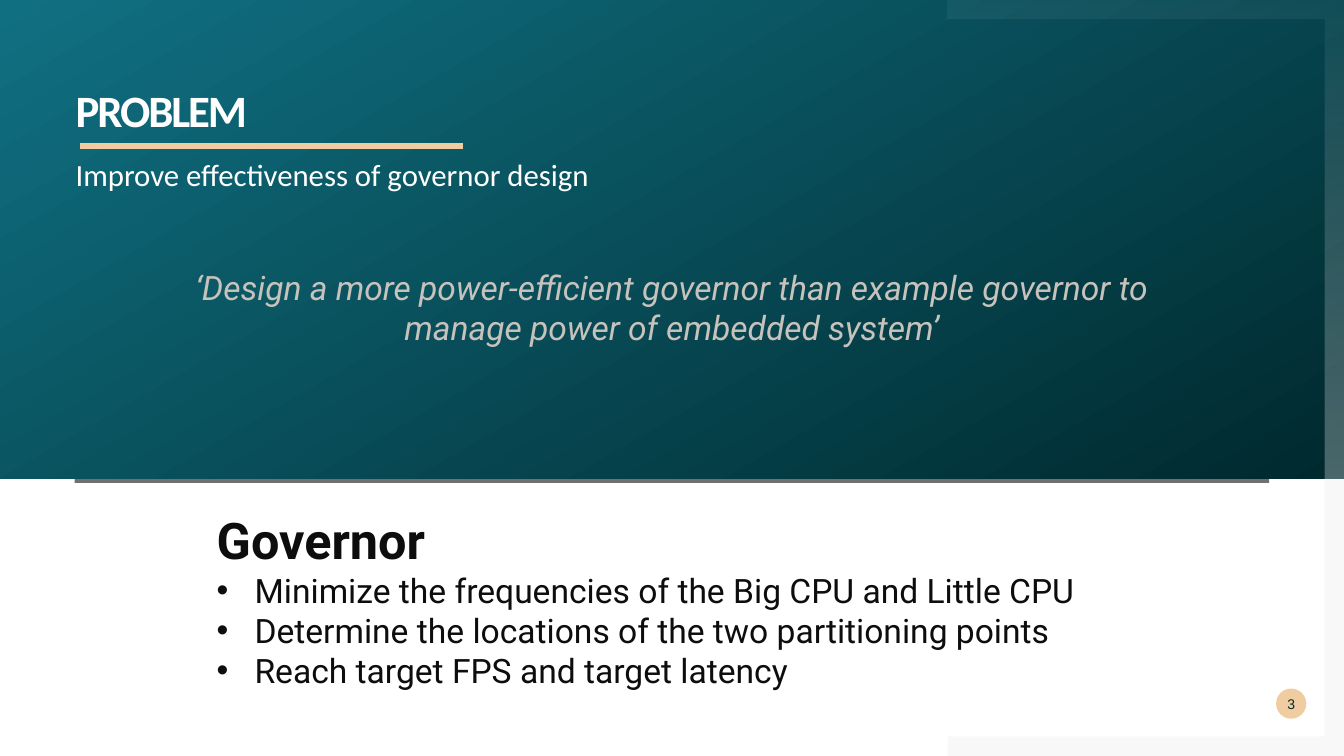
from lxml.etree import SubElement
from pptx import Presentation
from pptx.dml.color import RGBColor
from pptx.enum.shapes import MSO_CONNECTOR, MSO_SHAPE
from pptx.enum.text import MSO_ANCHOR, MSO_AUTO_SIZE, PP_ALIGN
from pptx.oxml.ns import qn
from pptx.util import Pt

COLORS = {name: RGBColor.from_string(code) for name, code in {
    "white": "FFFFFF", "black": "000000", "gray": "808080", "ink": "0D0D0D",
    "dark teal": "00292E", "teal": "107082", "sand": "F0CDA1", "stone": "C7C3BC",
}.items()}


def write(shape, text, font="Roboto", size=24, color="ink", bold=False, italic=False,
          align=PP_ALIGN.LEFT, anchor=MSO_ANCHOR.TOP, inset=(0, 0), after=0,
          line=1.0, tracking=0, bullet=False):
    """Fill the empty first paragraph of the shape, or add a paragraph below."""
    frame = shape.text_frame
    frame.word_wrap, frame.auto_size = True, MSO_AUTO_SIZE.NONE
    frame.vertical_anchor = anchor
    frame.margin_left = frame.margin_right = Pt(inset[0])
    frame.margin_top = frame.margin_bottom = Pt(inset[1])
    paragraph = frame.add_paragraph() if frame.text else frame.paragraphs[0]
    paragraph.alignment, paragraph.line_spacing = align, line
    paragraph.space_before, paragraph.space_after = Pt(0), Pt(after)
    props = paragraph._p.get_or_add_pPr()
    indent = Pt(27) if bullet else 0
    props.set("marL", str(indent))
    props.set("indent", str(-indent))
    if bullet:
        SubElement(props, qn("a:buFont"), typeface="Arial")
        SubElement(props, qn("a:buChar"), char="•")
    else:
        SubElement(props, qn("a:buNone"))
    run = paragraph.add_run()
    run.text = text
    run.font.name, run.font.size = font, Pt(size)
    run.font.bold, run.font.italic = bold, italic
    run.font.color.rgb = COLORS[color]
    if tracking:
        run._r.get_or_add_rPr().set("spc", str(int(tracking * 100)))


def paint(shape, *colors, angle=0, opacity=()):
    """Fill with one colour or a two-colour gradient, without outline or shadow."""
    shape.shadow.inherit = False
    shape.line.fill.background()
    if len(colors) == 1:
        shape.fill.solid()
        shape.fill.fore_color.rgb = COLORS[colors[0]]
    else:
        shape.fill.gradient()
        shape.fill.gradient_angle = angle
        for stop, color in zip(shape.fill.gradient_stops, colors):
            stop.color.rgb = COLORS[color]
    for code, percent in zip(shape._element.spPr.iter(qn("a:srgbClr")), opacity):
        SubElement(code, qn("a:alpha"), val=str(percent * 1000))


deck = Presentation()
deck.slide_width, deck.slide_height = Pt(960), Pt(540)
slide = deck.slides.add_slide(deck.slide_layouts[3])
shapes = slide.shapes
title, subtitle, governor = slide.placeholders

# Backdrop
divider = shapes.add_shape(MSO_SHAPE.RECTANGLE, Pt(53.3), Pt(341.3), Pt(853.2), Pt(3.6))
paint(divider, "black", opacity=[56])
banner = shapes.add_shape(MSO_SHAPE.RECTANGLE, 0, 0, Pt(960), Pt(342))
paint(banner, "dark teal", "teal", angle=120)

# Translucent frame along the right edge, split where the banner ends
frame_left, frame_inner, frame_right, banner_bottom = 677, 946, 960, 342
for edge, inner_edge, colors, opacity in (
    (0, 14, ["white", "white"], [5, 30]),
    (540, 526, ["gray"], [5]),
):
    outline = shapes.build_freeform(Pt(frame_left), Pt(edge))
    outline.add_line_segments([(Pt(x), Pt(y)) for x, y in (
        (frame_right, edge), (frame_right, banner_bottom), (frame_inner, banner_bottom),
        (frame_inner, inner_edge), (frame_left, inner_edge))])
    paint(outline.convert_to_shape(), *colors, angle=270, opacity=opacity)

# Heading
underline = shapes.add_connector(MSO_CONNECTOR.STRAIGHT, Pt(57), Pt(104.4), Pt(330.5), Pt(104.4))
underline.line.color.rgb = COLORS["sand"]
underline.line.width = Pt(4.32)
SubElement(underline._element.spPr, qn("a:effectLst"))

quote = shapes.add_textbox(0, 0, 0, 0)
for box, left, top, width, height in (
    (title, 54, 63.4, 595.4, 28.8),
    (subtitle, 54, 110.9, 595.4, 28),
    (quote, 97.2, 187.2, 765.4, 65.5),
    (governor, 147.6, 360, 665.3, 138.2),
):
    box.left, box.top, box.width, box.height = Pt(left), Pt(top), Pt(width), Pt(height)
    shapes._spTree.append(box._element)

write(title, "PROBLEM", font="Calibri", size=32, color="white", bold=True,
      line=0.9, tracking=-1.5)
write(subtitle, "Improve effectiveness of governor design", font="Calibri", size=22,
      color="white", after=10)
write(quote, "‘Design a more power-efficient governor than example governor "
      "to manage power of embedded system’", color="stone", italic=True,
      align=PP_ALIGN.CENTER, inset=(7.2, 3.6))

# Governor goals
write(governor, "Governor", size=36, bold=True, inset=(7.2, 3.6))
for goal in (
    "Minimize the frequencies of the Big CPU and Little CPU",
    "Determine the locations of the two partitioning points",
    "Reach target FPS and target latency",
):
    write(governor, goal, inset=(7.2, 3.6), bullet=True)

page_badge = shapes.add_shape(MSO_SHAPE.OVAL, Pt(911.5), Pt(491.8), Pt(21.6), Pt(21.6))
paint(page_badge, "sand")
write(page_badge, "3", font="Arial", size=10, color="dark teal",
      align=PP_ALIGN.CENTER, anchor=MSO_ANCHOR.MIDDLE)

deck.save("out.pptx")
